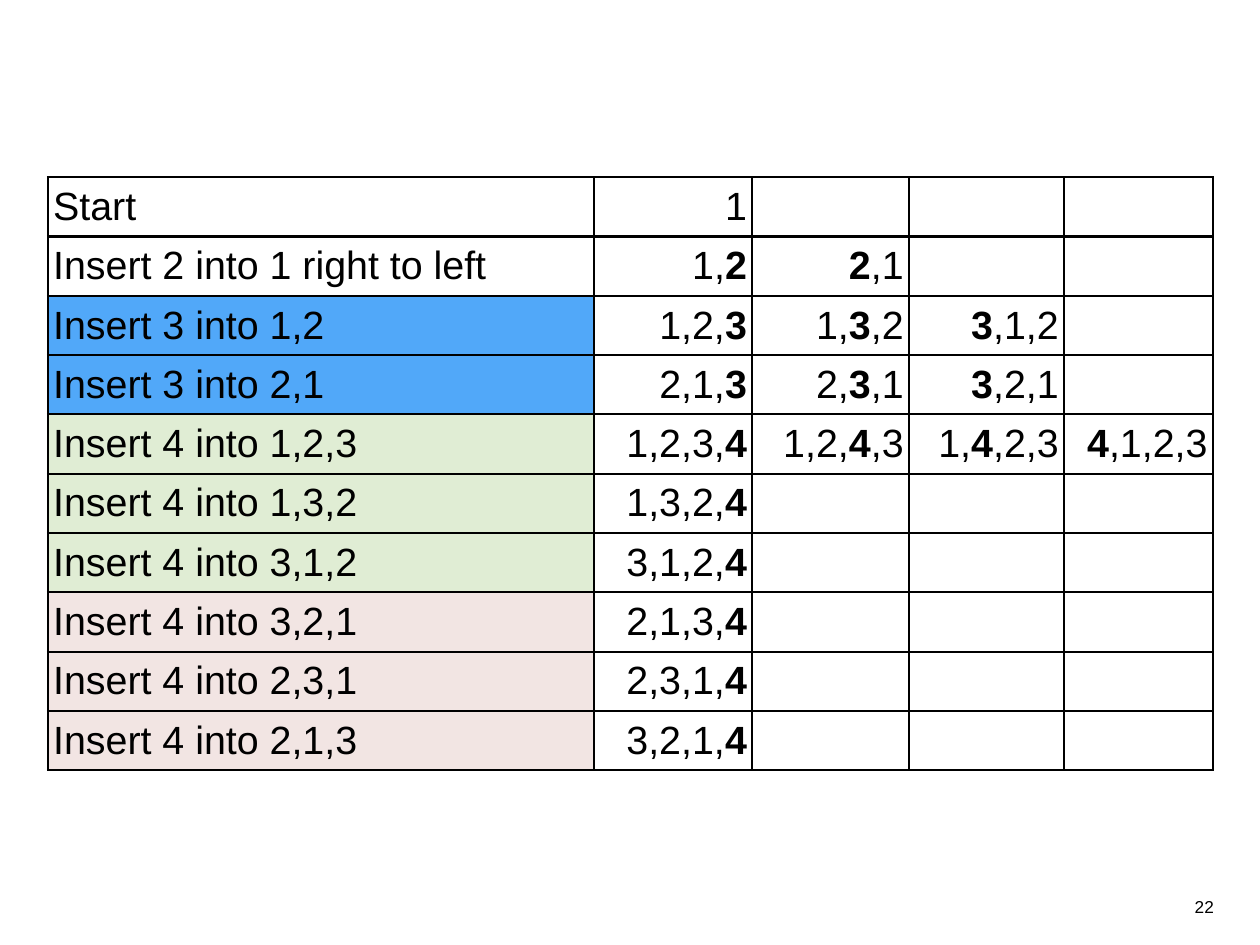
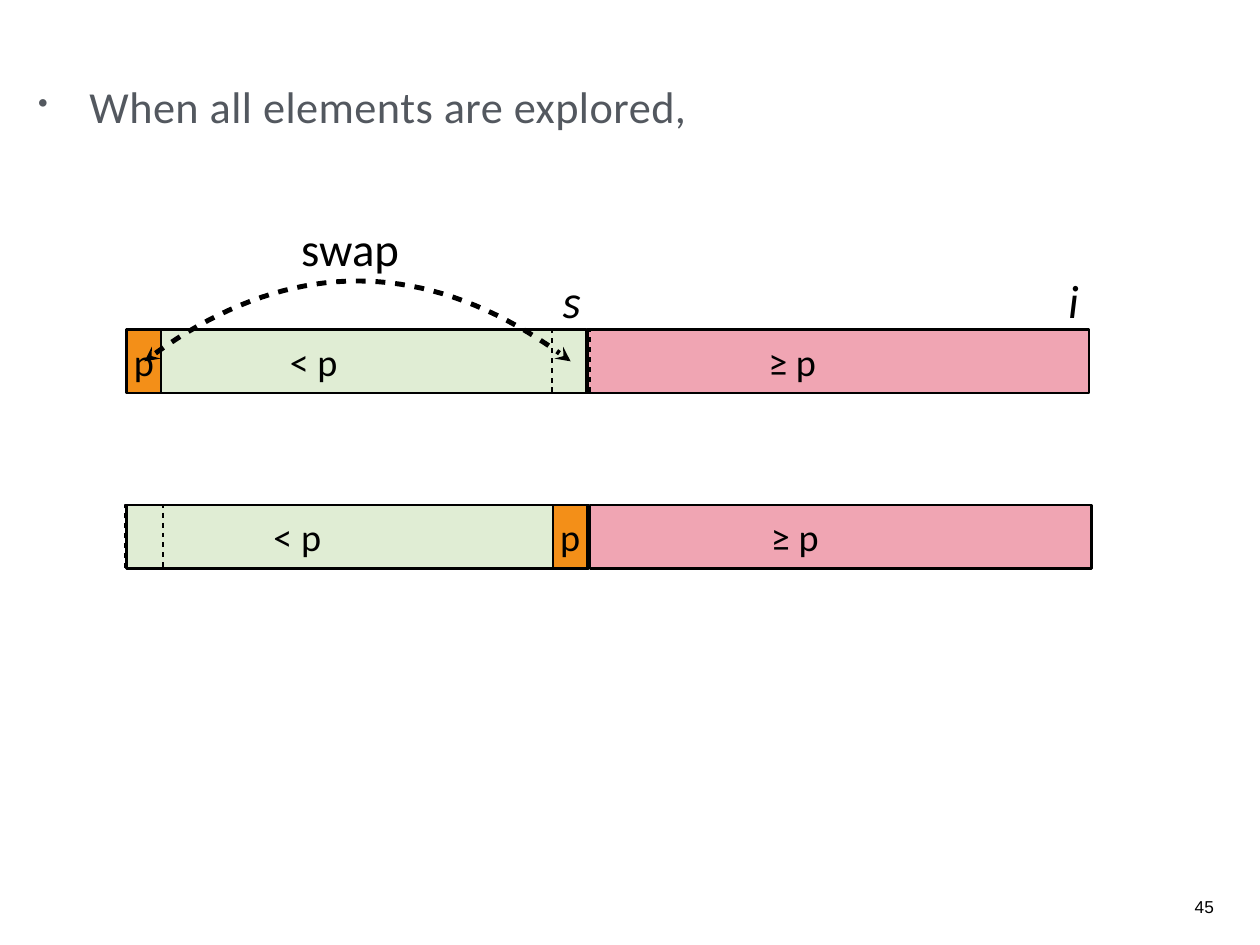
"""Build two slides on permutation insertion and array partitioning."""
from dataclasses import dataclass

from lxml import etree
from pptx import Presentation
from pptx.dml.color import RGBColor
from pptx.enum.shapes import MSO_SHAPE
from pptx.enum.text import MSO_ANCHOR, MSO_AUTO_SIZE, PP_ALIGN
from pptx.oxml.ns import qn
from pptx.util import Inches, Pt

RECTANGLE = MSO_SHAPE.RECTANGLE
MIDDLE, TOP = MSO_ANCHOR.MIDDLE, MSO_ANCHOR.TOP
GROW = MSO_AUTO_SIZE.SHAPE_TO_FIT_TEXT
LEFT, CENTER, RIGHT = PP_ALIGN.LEFT, PP_ALIGN.CENTER, PP_ALIGN.RIGHT


@dataclass(frozen=True)
class Theme:
    ink: str = "000000"
    heading: str = "53585F"
    blue: str = "51A8F9"
    green: str = "E0EDD4"
    blush: str = "F2E5E3"
    pink: str = "F0A5B3"
    orange: str = "F38F18"
    plain_font: str = "Arial"
    diagram_font: str = "Calibri"
    number_size: float = 14
    table_size: float = 32
    body_size: float = 36
    label_size: float = 31
    marker_size: float = 38
    thin: float = 2
    thick: float = 4
    inset: float = 0.06


THEME = Theme()


@dataclass(frozen=True)
class Style:
    size: float
    font: str = THEME.diagram_font
    color: str = THEME.ink
    italic: bool = False


@dataclass(frozen=True)
class InsertionRow:
    label: str
    inserted: str
    results: tuple[str, ...]
    fill: str | None = None


@dataclass(frozen=True)
class Segment:
    left: float
    width: float
    text: str = ""
    fill: str | None = None
    right_inset: float = THEME.inset
    wrap: bool = True


@dataclass(frozen=True)
class Marker:
    text: str
    left: float
    top: float
    width: float
    italic: bool = False


NUMBER = Style(THEME.number_size, THEME.plain_font)
TABLE = Style(THEME.table_size, THEME.plain_font)
BODY = Style(THEME.body_size, color=THEME.heading)
LABEL = Style(THEME.label_size)

COLUMN_WIDTHS = (6.16, 1.79, 1.77, 1.75, 1.68)
ROW_HEIGHT = 0.67
ROWS = (
    InsertionRow("Start", "", ("1",)),
    InsertionRow("Insert 2 into 1 right to left", "2", ("1,2", "2,1")),
    InsertionRow("Insert 3 into 1,2", "3", ("1,2,3", "1,3,2", "3,1,2"), THEME.blue),
    InsertionRow("Insert 3 into 2,1", "3", ("2,1,3", "2,3,1", "3,2,1"), THEME.blue),
    InsertionRow("Insert 4 into 1,2,3", "4",
                 ("1,2,3,4", "1,2,4,3", "1,4,2,3", "4,1,2,3"), THEME.green),
    InsertionRow("Insert 4 into 1,3,2", "4", ("1,3,2,4",), THEME.green),
    InsertionRow("Insert 4 into 3,1,2", "4", ("3,1,2,4",), THEME.green),
    InsertionRow("Insert 4 into 3,2,1", "4", ("2,1,3,4",), THEME.blush),
    InsertionRow("Insert 4 into 2,3,1", "4", ("2,3,1,4",), THEME.blush),
    InsertionRow("Insert 4 into 2,1,3", "4", ("3,2,1,4",), THEME.blush),
)

BAR_HEIGHT = 0.72
LESS_INSET, MORE_INSET = 1.42, 1.1
BARS = {
    3.72: (
        Segment(1.82, 4.8, "< p", THEME.green, LESS_INSET),
        Segment(6.63, 5.66, "≥ p", THEME.pink, MORE_INSET),
        Segment(1.43, 0.39, "p", THEME.orange, wrap=False),
        Segment(6.23, 0.43),
    ),
    5.7: (
        Segment(1.43, 5.21, "< p", THEME.green, LESS_INSET),
        Segment(6.66, 5.66, "≥ p", THEME.pink, MORE_INSET),
        Segment(6.24, 0.39, "p", THEME.orange, wrap=False),
        Segment(1.41, 0.43),
    ),
}
MARKERS = (
    Marker("s", 6.29, 2.97, 0.31, True),
    Marker("i", 11.98, 2.97, 0.27, True),
    Marker("swap", 3.29, 2.38, 1.32),
)
SWAP_CURVE = ((1.63, 4.08), (3.23, 2.87), (4.84, 2.87), (6.44, 4.08))
CURVE_STEPS = 40


def apply(target, values: dict) -> None:
    """Set every attribute listed in values."""
    for name, value in values.items():
        setattr(target, name, value)


def insets(size: float) -> dict:
    """Return equal margins for a text frame or cell."""
    return {f"margin_{side}": Inches(size) for side in ("left", "right", "top", "bottom")}


def add_span(para, text: str, style: Style, bold: bool = False):
    """Append one formatted run."""
    span = para.add_run()
    span.text = text
    apply(span.font, {"size": Pt(style.size), "name": style.font,
                      "bold": bold, "italic": style.italic})
    span.font.color.rgb = RGBColor.from_string(style.color)
    return span


def paint(fill, color: str | None) -> None:
    """Apply a solid colour or no fill."""
    if color is None:
        fill.background()
    else:
        fill.solid()
        fill.fore_color.rgb = RGBColor.from_string(color)


def outline(shape, width: float, dashed: bool = False) -> None:
    """Give a shape an ink line without a shadow."""
    shape.shadow.inherit = False
    shape.line.width = Pt(width)
    paint(shape.line.fill, THEME.ink)
    if dashed:
        line = shape.line.fill._xPr
        dashes = etree.SubElement(line, qn("a:custDash"))
        etree.SubElement(dashes, qn("a:ds"), d="200000", sp="200000")


def add_text(page, text: str, place: tuple, style: Style, align=CENTER, anchor=MIDDLE) -> None:
    """Add an unwrapped line of text."""
    box = page.shapes.add_textbox(*map(Inches, place))
    frame = box.text_frame
    apply(frame, {"word_wrap": False, "auto_size": GROW,
                  "vertical_anchor": anchor, **insets(THEME.inset)})
    para = frame.paragraphs[0]
    para.alignment = align
    add_span(para, text, style)


def add_page(deck, number: str):
    """Add a blank page with its number."""
    page = deck.slides.add_slide(deck.slide_layouts[6])
    add_text(page, number, (13.42, 10.06, 0.34, 0.33), NUMBER, RIGHT, TOP)
    return page


def add_borders(cell) -> None:
    """Draw ink lines on all four sides of a cell."""
    properties = cell._tc.get_or_add_tcPr()
    for side in ("lnL", "lnR", "lnT", "lnB"):
        line = etree.SubElement(properties, qn(f"a:{side}"), w=str(Pt(THEME.thin)))
        solid = etree.SubElement(line, qn("a:solidFill"))
        etree.SubElement(solid, qn("a:srgbClr"), val=THEME.ink)


def add_insertion_table(page) -> None:
    """Add the table of permutations with inserted digits in bold."""
    place = (0.54, 2, sum(COLUMN_WIDTHS), ROW_HEIGHT * len(ROWS))
    frame = page.shapes.add_table(len(ROWS), len(COLUMN_WIDTHS), *map(Inches, place))
    table = frame.table
    apply(table, {"first_row": False, "horz_banding": False})
    for column, width in zip(table.columns, COLUMN_WIDTHS):
        column.width = Inches(width)
    for line, row in zip(table.rows, ROWS):
        line.height = Inches(ROW_HEIGHT)
        for cell in line.cells:
            apply(cell, {"vertical_anchor": MIDDLE, **insets(THEME.inset)})
            add_borders(cell)
            paint(cell.fill, None)
        label, *others = line.cells
        paint(label.fill, row.fill)
        add_span(label.text_frame.paragraphs[0], row.label, TABLE)
        for cell, result in zip(others, row.results):
            para = cell.text_frame.paragraphs[0]
            para.alignment = RIGHT
            parts = result.partition(row.inserted) if row.inserted else (result,)
            for part in filter(None, parts):
                add_span(para, part, TABLE, part == row.inserted)


def add_bullet(page, text: str) -> None:
    """Add the body text with its bullet."""
    box = page.shapes.add_textbox(*map(Inches, (0.43, 0.78, 13.4, 9.44)))
    apply(box.text_frame, {"word_wrap": True, "vertical_anchor": TOP, **insets(0)})
    para = box.text_frame.paragraphs[0]
    apply(para, {"alignment": LEFT, "line_spacing": 1.2, "space_before": Pt(15)})
    properties = para._p.get_or_add_pPr()
    apply_indent = {"marL": Inches(0.58), "indent": Inches(-0.58)}
    for name, value in apply_indent.items():
        properties.set(name, str(value))
    etree.SubElement(properties, qn("a:buSzPct"), val="65000")
    etree.SubElement(properties, qn("a:buChar"), char="•")
    span = add_span(para, text, BODY)
    span.font._element.set("spc", "40")


def add_segment(page, segment: Segment, top: float) -> None:
    """Add one part of an array bar, dashed when unfilled."""
    place = (segment.left, top, segment.width, BAR_HEIGHT)
    shape = page.shapes.add_shape(RECTANGLE, *map(Inches, place))
    paint(shape.fill, segment.fill)
    outline(shape, THEME.thin, segment.fill is None)
    if segment.text:
        frame = shape.text_frame
        apply(frame, {"word_wrap": segment.wrap, "vertical_anchor": MIDDLE,
                      **insets(THEME.inset), "margin_right": Inches(segment.right_inset)})
        frame.paragraphs[0].alignment = CENTER
        add_span(frame.paragraphs[0], segment.text, LABEL)


def curve_point(step: int) -> tuple[int, int]:
    """Return a point on the cubic swap curve."""
    t = step / CURVE_STEPS
    weights = ((1 - t) ** 3, 3 * t * (1 - t) ** 2, 3 * t ** 2 * (1 - t), t ** 3)
    x, y = (sum(w * v for w, v in zip(weights, axis)) for axis in zip(*SWAP_CURVE))
    return Inches(x), Inches(y)


def add_swap_arrow(page) -> None:
    """Add the dashed curve with an arrowhead at each end."""
    start, *points = map(curve_point, range(CURVE_STEPS + 1))
    builder = page.shapes.build_freeform(*start)
    builder.add_line_segments(points, close=False)
    curve = builder.convert_to_shape()
    paint(curve.fill, None)
    outline(curve, THEME.thick, dashed=True)
    for end in ("headEnd", "tailEnd"):
        etree.SubElement(curve.line.fill._xPr, qn(f"a:{end}"), type="stealth")


def add_partition(page) -> None:
    """Add both array bars, the swap arrow and the markers."""
    for top, segments in BARS.items():
        for segment in segments:
            add_segment(page, segment, top)
    add_swap_arrow(page)
    for marker in MARKERS:
        add_text(page, marker.text, (marker.left, marker.top, marker.width, 0.83),
                 Style(THEME.marker_size, italic=marker.italic))


def main() -> None:
    """Build and save the deck."""
    deck = Presentation()
    apply(deck, {"slide_width": Inches(14.22), "slide_height": Inches(10.67)})
    add_insertion_table(add_page(deck, "22"))
    page = add_page(deck, "45")
    add_bullet(page, "When all elements are explored,")
    add_partition(page)
    deck.save("out.pptx")


if __name__ == "__main__":
    main()
